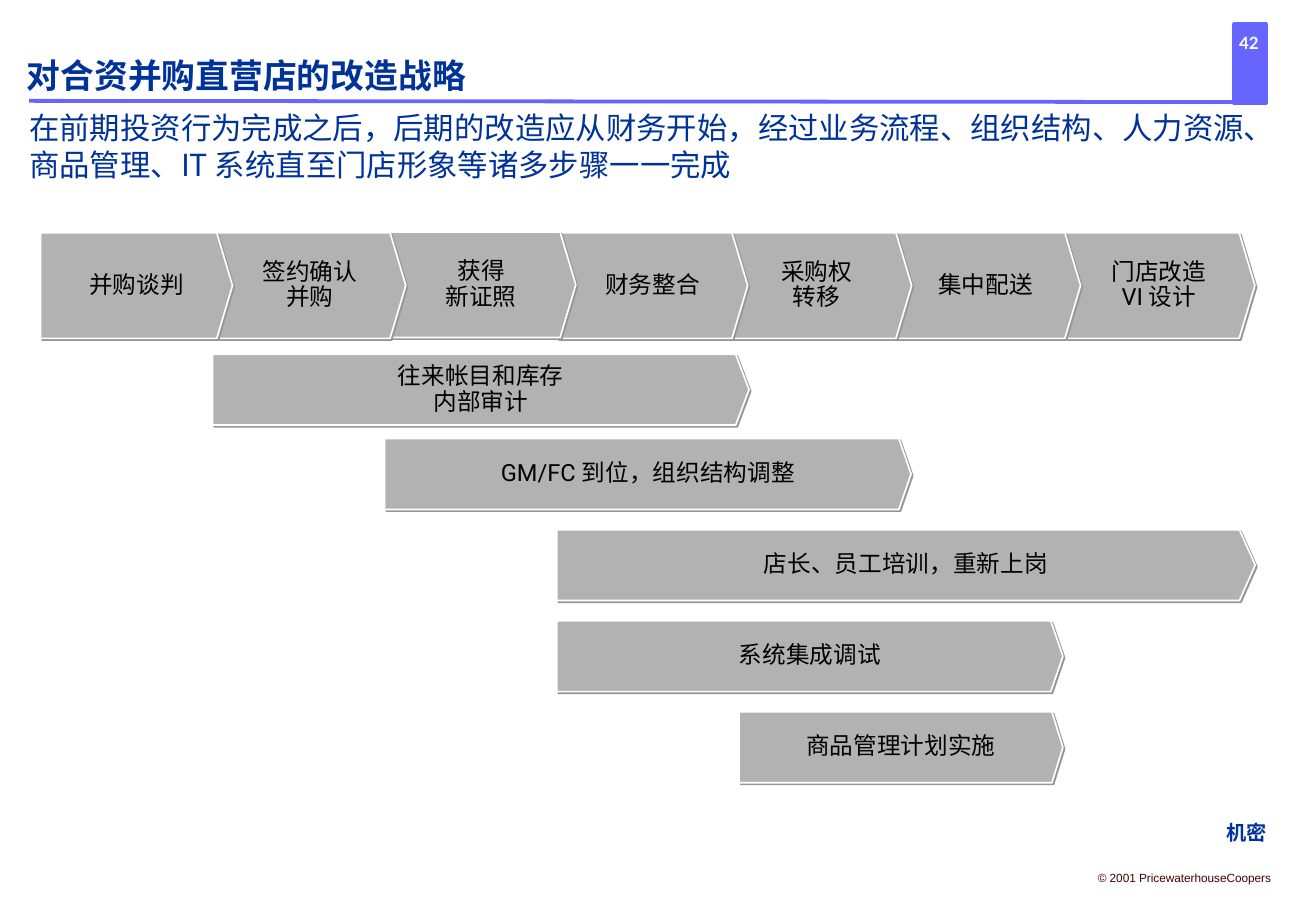
from dataclasses import dataclass

from lxml.etree import SubElement
from pptx import Presentation
from pptx.dml.color import RGBColor
from pptx.enum.shapes import MSO_CONNECTOR, MSO_SHAPE
from pptx.enum.text import MSO_ANCHOR, MSO_AUTO_SIZE, PP_ALIGN
from pptx.oxml.ns import qn
from pptx.slide import Slide
from pptx.text.text import TextFrame
from pptx.util import Pt


@dataclass(frozen=True)
class Style:
    size: float
    font: str
    color: str
    bold: bool = False


@dataclass(frozen=True)
class Theme:
    accent: str = "6666FF"
    fill: str = "B2B2B2"
    edge: str = "FFFFFF"
    shade: str = "969696"
    asian: str = "Noto Sans CJK SC"
    head: Style = Style(20, "Noto Sans CJK SC", "003399", True)
    lead: Style = Style(18, "Noto Sans CJK SC", "003399")
    step: Style = Style(14, "Roboto", "000000")
    page: Style = Style(10, "Lato", "FFFFFF", True)
    mark: Style = Style(12, "Arial", "003399", True)
    legal: Style = Style(7, "Arial", "440000")


@dataclass(frozen=True)
class Box:
    left: float
    top: float
    width: float
    height: float


@dataclass(frozen=True)
class Arrow:
    text: str
    box: Box
    tip: float


@dataclass(frozen=True)
class Label:
    text: str
    box: Box
    style: Style


THEME = Theme()
LEAD = ("在前期投资行为完成之后，后期的改造应从财务开始，经过业务流程、组织结构、"
        "人力资源、商品管理、IT 系统直至门店形象等诸多步骤一一完成")

# Top row of steps: text, left, top, width
STEPS = [
    Arrow(text, Box(left, top, width, 62.6), 9.3)
    for text, left, top, width in (
        ("并购谈判", 24, 138, 113.8),
        ("签约确认\n并购", 126.7, 138, 113.8),
        ("获得\n新证照", 229, 137.5, 112.3),
        ("财务整合", 330.5, 138, 112.7),
        ("采购权\n转移", 427.7, 138, 112.7),
        ("集中配送", 527.8, 138, 112.7),
        ("门店改造\nVI 设计", 630, 138, 113.8),
    )
]

# Parallel tasks below; all but the first are evenly spaced
TASKS = [Arrow("往来帐目和库存\n内部审计", Box(126, 210, 318, 42), 7.9)] + [
    Arrow(text, Box(left, 260 + 54 * row, width, 42), tip)
    for row, (text, left, width, tip) in enumerate((
        ("GM/FC 到位，组织结构调整", 228, 312, 7.2),
        ("店长、员工培训，重新上岗", 330, 414, 9.4),
        ("系统集成调试", 330, 300, 7.2),
        ("商品管理计划实施", 438, 192, 6.5),
    ))
]

LABELS = [
    Label("42", Box(715, 18, 50.4, 14.4), THEME.page),
    Label("机密", Box(720, 482.4, 38.2, 21.6), THEME.mark),
    Label("© 2001 PricewaterhouseCoopers", Box(643.7, 512.6, 116.6, 15.8), THEME.legal),
]


def color(value: str) -> RGBColor:
    return RGBColor.from_string(value)


def write(frame: TextFrame, text: str, style: Style, align: PP_ALIGN,
          anchor: MSO_ANCHOR, wrap: bool, space: float = 1.0) -> None:
    frame.text = text
    frame.word_wrap = wrap
    frame.auto_size = MSO_AUTO_SIZE.NONE
    frame.vertical_anchor = anchor
    frame.margin_left = frame.margin_right = 0
    frame.margin_top = frame.margin_bottom = 0
    for para in frame.paragraphs:
        para.alignment = align
        para.line_spacing = space
        para.space_before = Pt(0)
        font = para.font
        font.size = Pt(style.size)
        font.bold = style.bold
        font.color.rgb = color(style.color)
        font.name = style.font
        props = para._p.pPr.find(qn("a:defRPr"))
        SubElement(props, qn("a:ea"), typeface=THEME.asian)


def draw_label(slide: Slide, label: Label) -> None:
    box = label.box
    shape = slide.shapes.add_textbox(
        Pt(box.left), Pt(box.top), Pt(box.width), Pt(box.height))
    write(shape.text_frame, label.text, label.style,
          PP_ALIGN.CENTER, MSO_ANCHOR.MIDDLE, False)


def draw_arrow(slide: Slide, arrow: Arrow) -> None:
    box = arrow.box
    right, low = box.left + box.width, box.top + box.height
    neck = right - arrow.tip
    pen = slide.shapes.build_freeform(Pt(box.left), Pt(box.top))
    pen.add_line_segments([
        (Pt(x), Pt(y)) for x, y in (
            (neck, box.top), (right, box.top + box.height / 2),
            (neck, low), (box.left, low))
    ], close=True)
    shape = pen.convert_to_shape()
    shape.fill.solid()
    shape.fill.fore_color.rgb = color(THEME.fill)
    shape.line.color.rgb = color(THEME.edge)
    shape.line.width = Pt(1)
    # Hard-edged shadow down and to the right
    shape.shadow.inherit = False
    effects = shape._element.spPr.find(qn("a:effectLst"))
    shadow = SubElement(effects, qn("a:outerShdw"), blurRad="0",
                        dist=str(Pt(1.4)), dir="2700000", algn="ctr", rotWithShape="0")
    SubElement(shadow, qn("a:srgbClr"), val=THEME.shade)
    write(shape.text_frame, arrow.text, THEME.step,
          PP_ALIGN.CENTER, MSO_ANCHOR.MIDDLE, False, 0.9)


def draw_frame(slide: Slide) -> None:
    # Page tab
    tab = slide.shapes.add_shape(
        MSO_SHAPE.RECTANGLE, Pt(731.5), Pt(14.4), Pt(18.7), Pt(46.8))
    tab.shadow.inherit = False
    tab.fill.solid()
    tab.fill.fore_color.rgb = color(THEME.accent)
    # Rule under the heading
    rule = slide.shapes.add_connector(
        MSO_CONNECTOR.STRAIGHT, Pt(17.3), Pt(59.8), Pt(740.2), Pt(60.5))
    SubElement(rule._element.spPr, qn("a:effectLst"))
    for shape in (tab, rule):
        shape.line.color.rgb = color(THEME.accent)
        shape.line.width = Pt(2.25)


def main() -> None:
    deck = Presentation()
    deck.slide_width, deck.slide_height = Pt(780), Pt(540)
    slide = deck.slides.add_slide(deck.slide_layouts[5])
    draw_frame(slide)

    # Heading and lead sentence
    head = slide.shapes.add_textbox(Pt(15.8), Pt(13), Pt(699), Pt(43.2))
    write(head.text_frame, "对合资并购直营店的改造战略", THEME.head,
          PP_ALIGN.LEFT, MSO_ANCHOR.BOTTOM, True)
    title = slide.shapes.title
    title.left, title.top = Pt(17.3), Pt(59.8)
    title.width, title.height = Pt(732.2), Pt(48.2)
    write(title.text_frame, LEAD, THEME.lead, PP_ALIGN.LEFT, MSO_ANCHOR.BOTTOM, True)

    # Page number, mark and legal line
    for label in LABELS:
        draw_label(slide, label)

    # Each step overlaps the one to its right
    for arrow in STEPS[::-1] + TASKS:
        draw_arrow(slide, arrow)
    deck.save("out.pptx")


if __name__ == "__main__":
    main()
